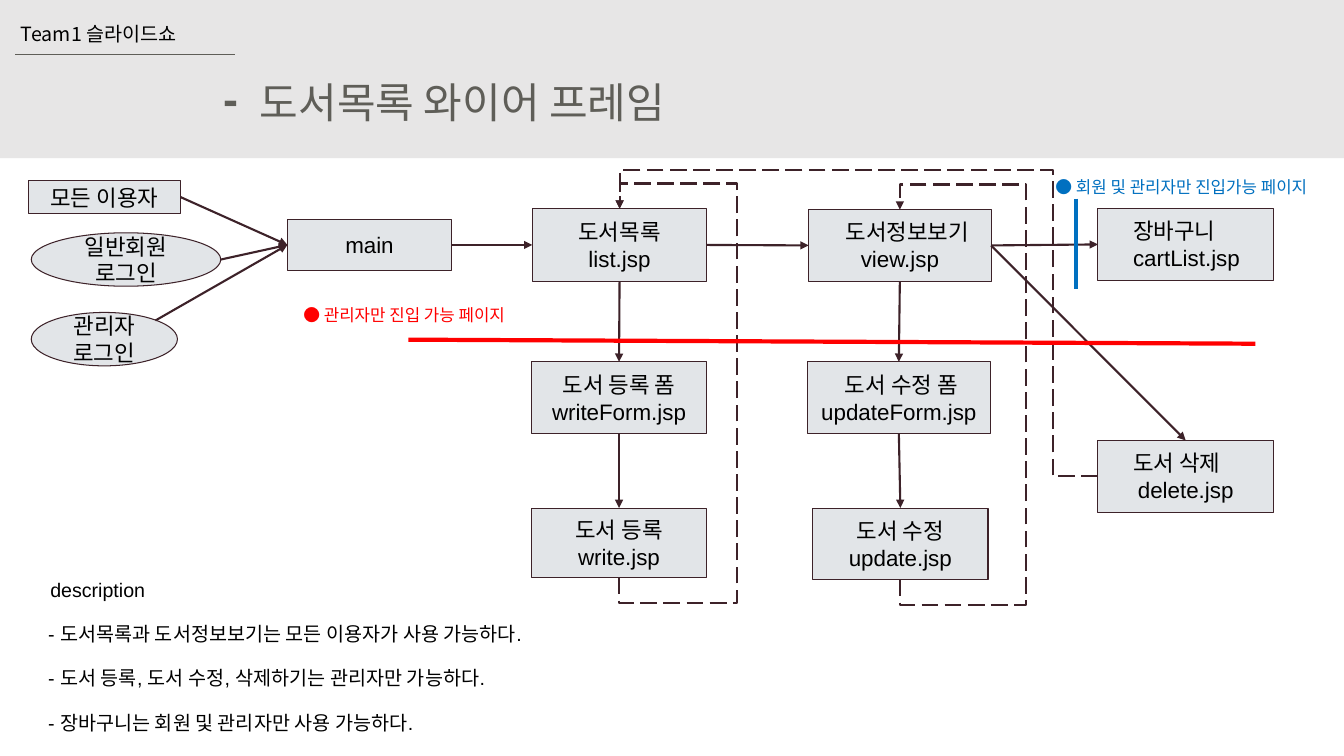
from dataclasses import dataclass
from lxml import etree
from pptx import Presentation, util as u
from pptx.dml.color import RGBColor
from pptx.enum import dml, shapes, text
from pptx.oxml.ns import qn


@dataclass(frozen=True)
class Theme:
    band: str = "E7E6E6"
    node: str = "E2E5E8"
    edge: str = "3D2229"
    gray: str = "5F5E58"
    ink: str = "000000"
    red: str = "FF0000"
    blue: str = "0070C0"
    font: str = "Arial"
    cjk: str = "Noto Sans CJK KR"
    dash: int = 32
    title: int = 30
    label: int = 16
    body: int = 14
    tag: int = 12


T = Theme()
MID, LEFT, RIGHT = text.PP_ALIGN.CENTER, text.PP_ALIGN.LEFT, text.PP_ALIGN.RIGHT
RECT, OVAL = shapes.MSO_SHAPE.RECTANGLE, shapes.MSO_SHAPE.OVAL


def px(n):
    """100 px make one inch."""
    return u.Emu(round(n * 9144))


def rgb(hue):
    return RGBColor.from_string(hue)


def para(par, words, size, hue=T.ink, font=T.font, align=LEFT, bold=False, indent=0):
    if indent:
        par._p.get_or_add_pPr().set("marL", str(px(indent)))
    par.alignment = align
    run = par.add_run()
    run.text = words
    run.font.name, run.font.size, run.font.bold = font, u.Pt(size), bold
    run.font.color.rgb = rgb(hue)


def inset(frame, side, top):
    frame.word_wrap = True
    frame.margin_left = frame.margin_right = px(side)
    frame.margin_top = frame.margin_bottom = px(top)


def note(slide, x, y, w, h, words, size, pad=10, **look):
    frame = slide.shapes.add_textbox(px(x), px(y), px(w), px(h)).text_frame
    inset(frame, 10, pad)
    frame.auto_size = text.MSO_AUTO_SIZE.SHAPE_TO_FIT_TEXT
    para(frame.paragraphs[0], words, size, **look)


def block(slide, form, x, y, w, h, fill, edge=None):
    shape = slide.shapes.add_shape(form, px(x), px(y), px(w), px(h))
    shape.shadow.inherit = False
    shape.fill.solid()
    shape.fill.fore_color.rgb = rgb(fill)
    if edge:
        shape.line.color.rgb = rgb(edge)
        shape.line.width = u.Pt(0.75)
    else:
        shape.line.fill.background()
    return shape


def link(slide, start, end, hue=T.edge, width=1.5, arrow=True, kind=shapes.MSO_CONNECTOR.STRAIGHT):
    line = slide.shapes.add_connector(kind, *map(px, start + end))
    line.line.color.rgb = rgb(hue)
    line.line.width = u.Pt(width)
    props = line._element.spPr
    etree.SubElement(props, qn("a:effectLst"))
    if arrow:
        etree.SubElement(props.find(qn("a:ln")), qn("a:tailEnd"), type="triangle")
    return line


def route(slide, start, end, bends, turn):
    """Dashed elbow; each bend is a slide x or y, as a share of the span."""
    line = link(slide, start, end, kind=shapes.MSO_CONNECTOR.ELBOW)
    line.line.dash_style = dml.MSO_LINE.LONG_DASH
    (sx, sy), (ex, ey) = start, end
    wide, high = abs(ex - sx), abs(ey - sy)
    form = line._element.spPr.find(qn("a:xfrm"))
    for key in ("flipH", "flipV"):
        form.attrib.pop(key, None)
    if turn == 90:
        wide, high = high, wide
        form.set("flipH", "1")
        if ex > sx:
            form.set("flipV", "1")
    form.set("rot", str(turn * 60000))
    line.left, line.top = px((sx + ex - wide) / 2), px((sy + ey - high) / 2)
    line.width, line.height = px(wide), px(high)
    geom = line._element.spPr.find(qn("a:prstGeom"))
    geom.set("prst", f"bentConnector{len(bends) + 2}")
    guides = geom.find(qn("a:avLst"))
    for i, (axis, at) in enumerate(bends, 1):
        share = (at - sx) / (ex - sx) if axis == "x" else (at - sy) / (ey - sy)
        etree.SubElement(guides, qn("a:gd"), name=f"adj{i}", fmla=f"val {round(share * 100000)}")


def header(slide, x, y, w, h):
    block(slide, RECT, x, y, w, h, T.band)
    link(slide, (x + 15, y + 54), (x + 233, y + 54), T.gray, 0.75, False)
    note(slide, x + 11, y + 17, 200, 34, "Team1 슬라이드쇼", T.body, 5, font=T.cjk)
    note(slide, x + 248, y + 71, 543, 61, "도서목록 와이어 프레임", T.title, 5, hue=T.gray)
    note(slide, x + 177, y + 65, 69, 64, "-", T.dash, 5, hue=T.gray, align=RIGHT, bold=True)


# name: form, box, lines of (words, align, indent)
NODES = {
    "all": (RECT, (28, 22, 151, 33), [("모든 이용자", MID, 0)]),
    "member": (OVAL, (31, 74, 188, 53), [("일반회원 로그인", MID, 0)]),
    "admin": (OVAL, (31, 153, 145, 53), [("관리자 로그인", MID, 0)]),
    "main": (RECT, (285, 61, 163, 50), [("main", MID, 0)]),
    "list": (RECT, (528, 50, 173, 72), [("도서목록", MID, 0), ("list.jsp", MID, 0)]),
    "view": (RECT, (802, 51, 181, 71), [("도서정보보기", MID, 15), ("view.jsp", MID, 0)]),
    "cart": (RECT, (1089, 50, 174, 71), [("장바구니", LEFT, 25), ("cartList.jsp", LEFT, 25)]),
    "form": (RECT, (527, 202, 174, 71), [("도서 등록 폼", MID, 0), ("writeForm.jsp", MID, 0)]),
    "edit": (RECT, (801, 202, 181, 71), [("도서 수정 폼", MID, 5), ("updateForm.jsp", MID, 0)]),
    "write": (RECT, (527, 347, 174, 69), [("도서 등록", MID, 0), ("write.jsp", MID, 0)]),
    "update": (RECT, (806, 347, 174, 71), [("도서 수정", MID, 0), ("update.jsp", MID, 0)]),
    "delete": (RECT, (1089, 280, 174, 71), [("도서 삭제", LEFT, 25), ("delete.jsp", MID, 0)]),
}
# share of a node's width and height
SIDES = {"l": (0, 0.5), "r": (1, 0.5), "t": (0.5, 0), "b": (0.5, 1), "ne": (0.85, 0.15)}
LINKS = ["all r main l", "member r main l", "admin ne main l", "main r list l",
         "list r view l", "view r cart l", "view r delete t", "list b form t",
         "form b write t", "view b edit t", "edit b update t"]


def flow(slide, x, y, w, h):
    def port(name, side):
        left, top, wide, high = NODES[name][1]
        fx, fy = SIDES[side]
        return x + left + wide * fx, y + top + high * fy

    # Pages and users
    for form, (left, top, wide, high), lines in NODES.values():
        frame = block(slide, form, x + left, y + top, wide, high, T.node, T.edge).text_frame
        inset(frame, 10, 10)
        frame.vertical_anchor = text.MSO_ANCHOR.MIDDLE
        for i, (words, align, indent) in enumerate(lines):
            par = frame.add_paragraph() if i else frame.paragraphs[0]
            para(par, words, T.label, align=align, indent=indent)

    # Forward steps
    for step in LINKS:
        a, out, b, into = step.split()
        link(slide, port(a, out), port(b, into))

    # Dashed ways back
    for a, b, lane in (("write", "list", 728), ("update", "view", 1015)):
        start, end = port(a, "b"), port(b, "t")
        bends = [("y", start[1] + 25), ("x", x + lane), ("y", end[1] - 25)]
        route(slide, start, end, bends, 90)
    route(slide, port("delete", "l"), port("list", "t"), [("x", x + 1044), ("y", y + 12)], 180)

    # Access limits
    link(slide, (x + 405, y + 180), (x + 1245, y + 184), T.red, 3, False)
    link(slide, (x + 1067, y + 40), (x + 1067, y + 130), T.blue, 3, False)
    note(slide, x + 271, y + 135, 318, 40, "● 관리자만 진입 가능 페이지", T.tag, hue=T.red, indent=20)
    note(slide, x + 1013, y + 8, 327, 40, "● 회원 및 관리자만 진입가능 페이지", T.tag,
         hue=T.blue, indent=24)


def notes(slide, x, y, w, h):
    lines = ["description", "- 도서목록과 도서정보보기는 모든 이용자가 사용 가능하다.",
             "- 도서 등록, 도서 수정, 삭제하기는 관리자만 가능하다.",
             "- 장바구니는 회원 및 관리자만 사용 가능하다."]
    for i, words in enumerate(lines):
        note(slide, x + (0 if i else 2), y + i * 44, w, 44, words, T.body)


def main():
    deck = Presentation()
    deck.slide_width, deck.slide_height = px(1333), px(750)
    slide = deck.slides.add_slide(deck.slide_layouts[6])
    header(slide, 0, 0, 1333, 157)
    flow(slide, 0, 157, 1333, 443)
    notes(slide, 38, 563, 565, 176)
    deck.save("out.pptx")


if __name__ == "__main__":
    main()
